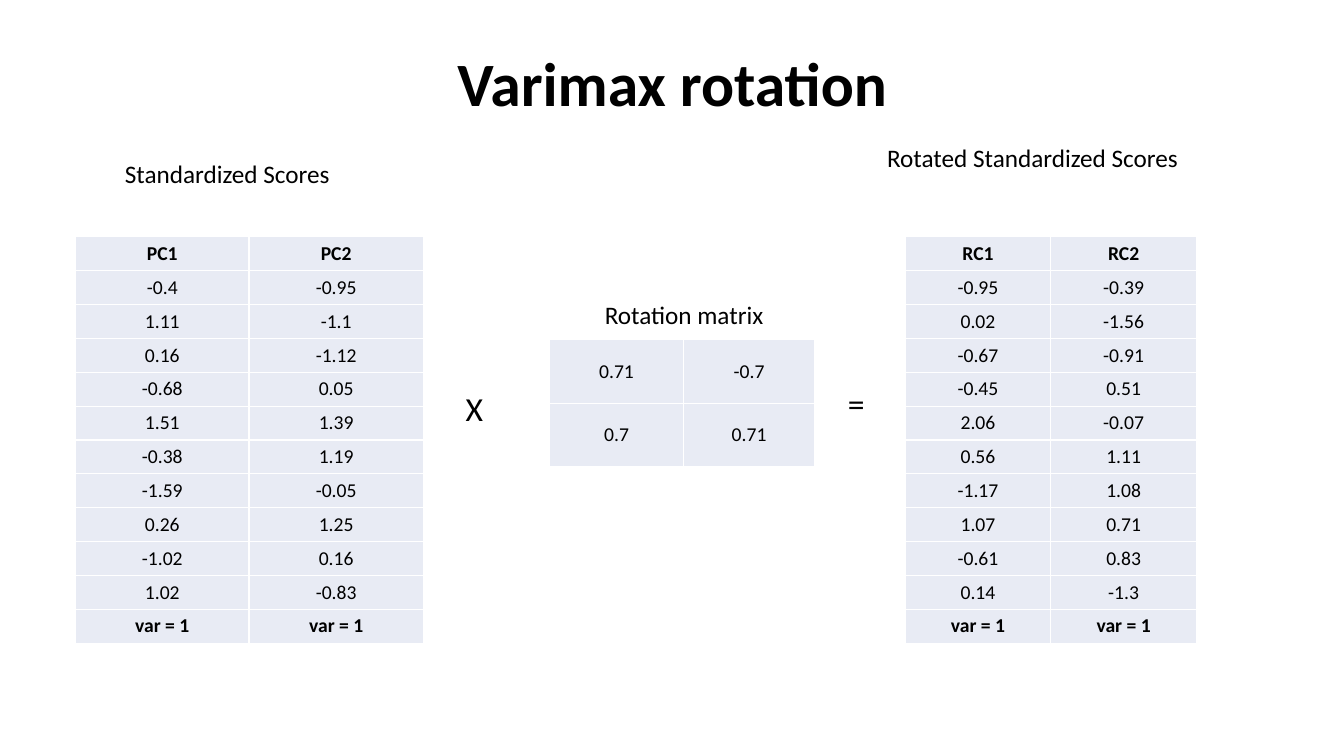
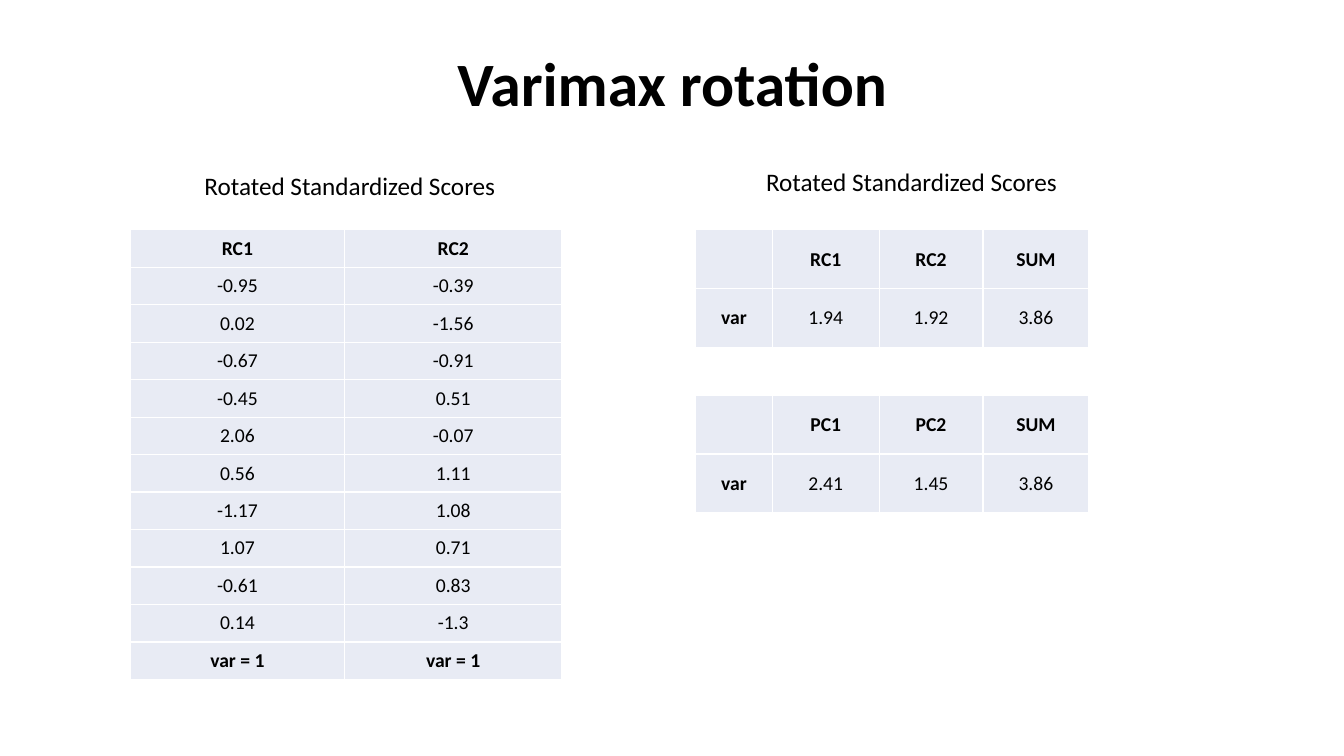
from lxml import etree
from pptx import Presentation
from pptx import util as u
from pptx.dml.color import RGBColor
from pptx.enum import text
from pptx.oxml import ns

FONT = "Calibri"
INK = "000000"
PALE = "E8EBF4"
RULE = "FFFFFF"
LEFT, MID = text.PP_ALIGN.LEFT, text.PP_ALIGN.CENTER
CENTER, LOW = text.MSO_ANCHOR.MIDDLE, text.MSO_ANCHOR.BOTTOM


def write(frame, words, size, bold=False, align=LEFT):
    frame.text = words
    para = frame.paragraphs[0]
    para.alignment = align
    for run in para.runs:
        run.font.name = FONT
        run.font.size = u.Pt(size)
        run.font.bold = bold
        run.font.color.rgb = RGBColor.from_string(INK)


def grid(slide, rows, left, top, widths, height, anchor=CENTER):
    frame = slide.shapes.add_table(
        len(rows), len(widths), u.Inches(left), u.Inches(top),
        u.Inches(sum(widths)), u.Inches(height))
    table = frame.table
    table.first_row = table.horz_banding = False
    for col, width in zip(table.columns, widths):
        col.width = u.Inches(width)
    for line, row in zip(table.rows, rows):
        line.height = u.Inches(height / len(rows))
        for cell, words in zip(line.cells, row):
            write(cell.text_frame, words, 14, words[:1].isalpha(), MID)
            cell.vertical_anchor = anchor
            cell.margin_left = cell.margin_right = u.Inches(0.01)
            props = cell._tc.get_or_add_tcPr()
            for side in ("lnL", "lnR", "lnT", "lnB"):
                edge = etree.SubElement(props, ns.qn("a:" + side), w=str(u.Pt(0.96)))
                fill = etree.SubElement(edge, ns.qn("a:solidFill"))
                etree.SubElement(fill, ns.qn("a:srgbClr"), val=RULE)
            cell.fill.solid()
            cell.fill.fore_color.rgb = RGBColor.from_string(PALE)


scores = [
    ("PC1", "PC2"), ("-0.4", "-0.95"), ("1.11", "-1.1"), ("0.16", "-1.12"),
    ("-0.68", "0.05"), ("1.51", "1.39"), ("-0.38", "1.19"), ("-1.59", "-0.05"),
    ("0.26", "1.25"), ("-1.02", "0.16"), ("1.02", "-0.83"), ("var = 1", "var = 1"),
]
turned = [
    ("RC1", "RC2"), ("-0.95", "-0.39"), ("0.02", "-1.56"), ("-0.67", "-0.91"),
    ("-0.45", "0.51"), ("2.06", "-0.07"), ("0.56", "1.11"), ("-1.17", "1.08"),
    ("1.07", "0.71"), ("-0.61", "0.83"), ("0.14", "-1.3"), ("var = 1", "var = 1"),
]
matrix = [("0.71", "-0.7"), ("0.7", "0.71")]
after = [("", "RC1", "RC2", "SUM"), ("var", "1.94", "1.92", "3.86")]
before = [("", "PC1", "PC2", "SUM"), ("var", "2.41", "1.45", "3.86")]
sums = (0.76, 1.06, 1.03, 1.05)

pages = [
    (
        [
            ("Standardized Scores", 1.14, 1.52, 2.9, 18),
            ("X", 4.52, 3.8, 0.45, 24),
            ("Rotation matrix", 5.9, 2.92, 2, 18),
            ("Rotated Standardized Scores", 8.7, 1.36, 3.5, 18),
            ("=", 8.31, 3.75, 0.52, 24),
        ],
        [
            (scores, 0.75, 2.35, (1.72, 1.73), 4.03, LOW),
            (matrix, 5.45, 3.37, (1.33, 1.3), 1.26),
            (turned, 8.98, 2.35, (1.44, 1.45), 4.03, LOW),
        ],
    ),
    (
        [
            ("Rotated Standardized Scores", 1.93, 1.64, 3.9, 18),
            ("Rotated Standardized Scores", 7.5, 1.6, 3.9, 18),
        ],
        [
            (turned, 1.29, 2.28, (2.13, 2.15), 4.46),
            (after, 6.9, 2.28, sums, 1.17),
            (before, 6.9, 3.92, sums, 1.17),
        ],
    ),
]

deck = Presentation()
deck.slide_width = u.Inches(13.33)
deck.slide_height = u.Inches(7.5)

for labels, tables in pages:
    slide = deck.slides.add_slide(deck.slide_layouts[6])
    box = slide.shapes.add_textbox(
        u.Inches(0.92), u.Inches(0.4), u.Inches(11.5), u.Inches(0.91))
    title = box.text_frame
    title.word_wrap = True
    title.vertical_anchor = CENTER
    write(title, "Varimax rotation", 44, True, MID)
    title.paragraphs[0].line_spacing = 0.9
    for words, left, top, width, size in labels:
        box = slide.shapes.add_textbox(
            u.Inches(left), u.Inches(top), u.Inches(width), u.Inches(size / 45))
        box.text_frame.word_wrap = True
        write(box.text_frame, words, size)
    for table in tables:
        grid(slide, *table)

deck.save("out.pptx")
